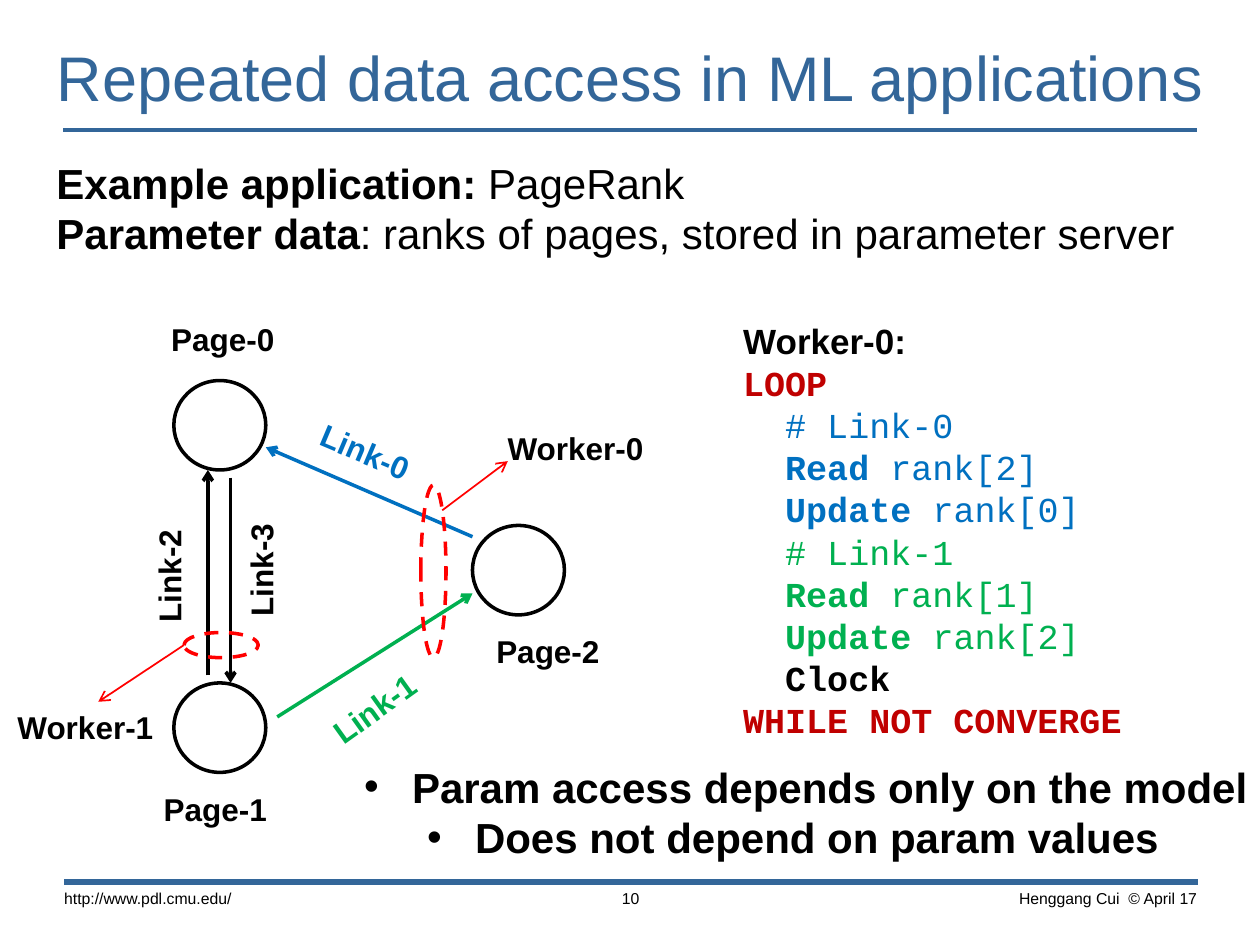
from dataclasses import dataclass

from lxml.etree import SubElement
from pptx import Presentation
from pptx.dml.color import RGBColor
from pptx.enum.dml import MSO_LINE
from pptx.enum.shapes import MSO_CONNECTOR, MSO_SHAPE
from pptx.enum.text import MSO_ANCHOR, MSO_AUTO_SIZE, PP_ALIGN
from pptx.oxml.ns import qn
from pptx.util import Inches, Pt


@dataclass(frozen=True)
class Theme:
    heading: RGBColor = RGBColor(0x33, 0x66, 0x99)
    black: RGBColor = RGBColor(0, 0, 0)
    blue: RGBColor = RGBColor(0x00, 0x70, 0xC0)
    green: RGBColor = RGBColor(0x00, 0xB0, 0x50)
    keyword: RGBColor = RGBColor(0xC0, 0, 0)
    worker: RGBColor = RGBColor(0xFF, 0, 0)
    font: str = "Arial"
    code_font: str = "Courier New"
    title_size: int = 36
    body_size: int = 24
    code_size: int = 20
    label_size: int = 18
    footer_size: int = 9


THEME = Theme()

PAGES = [
    # circle left, top; label, label left, top
    (1.38, 3.02, "Page-0", 1.26, 2.49),
    (1.38, 5.42, "Page-1", 1.2, 6.22),
    (3.75, 4.17, "Page-2", 3.84, 4.97),
]
LINKS = [
    # start, end, colour; label, label left, top, rotation
    ((3.75, 4.26), (2.11, 3.55), THEME.blue, "Link-0", 2.42, 3.45, 22.9),
    ((2.2, 5.69), (3.75, 4.71), THEME.green, "Link-1", 2.47, 5.32, 324.3),
    ((1.65, 5.36), (1.65, 3.73), THEME.black, "Link-2", 0.7, 4.2, 270),
    ((1.83, 3.79), (1.83, 5.42), THEME.black, "Link-3", 1.43, 4.15, 270),
]
WORKERS = [
    # ring box; arrow start, end; label, label left, top
    ((3.34, 3.85, 0.2, 1.37), (3.51, 4.05), (4.03, 3.66), "Worker-0", 3.93, 3.36),
    ((1.46, 5.02, 0.59, 0.2), (1.46, 5.12), (0.78, 5.57), "Worker-1", 0.04, 5.57),
]
CODE = [
    # colour, bold part, regular part
    (THEME.keyword, "LOOP", ""),
    (THEME.blue, "", "  # Link-0"),
    (THEME.blue, "  Read", " rank[2]"),
    (THEME.blue, "  Update", " rank[0]"),
    (THEME.green, "", "  # Link-1"),
    (THEME.green, "  Read", " rank[1]"),
    (THEME.green, "  Update", " rank[2]"),
    (THEME.black, "  Clock", ""),
    (THEME.keyword, "WHILE NOT CONVERGE", ""),
]
SUMMARY = [
    ("Example application: ", "PageRank"),
    ("Parameter data", ": ranks of pages, stored in parameter server"),
]
FOOTERS = [
    ("http://www.pdl.cmu.edu/", 0.4, 2.5, PP_ALIGN.LEFT),
    ("10", 4.03, 1.95, PP_ALIGN.CENTER),
    ("Henggang Cui  © April 17", 7.07, 2.54, PP_ALIGN.RIGHT),
]
CONCLUSIONS = ["Param access depends only on the model", "Does not depend on param values"]


def place(shape, left, top, width, height):
    shape.left, shape.top = Inches(left), Inches(top)
    shape.width, shape.height = Inches(width), Inches(height)


def style(paragraph, size, color=THEME.black, bold=None, name=THEME.font):
    font = paragraph.font
    font.name, font.size, font.bold = name, Pt(size), bold
    font.color.rgb = color


def add_text_frame(slide, left, top, width, height):
    box = slide.shapes.add_textbox(*map(Inches, (left, top, width, height)))
    box.text_frame.word_wrap = True
    return box, box.text_frame


def add_label(slide, text, left, top, width=1.28, color=THEME.black, rotation=0):
    box, frame = add_text_frame(slide, left, top, width, 0.4)
    box.rotation = rotation
    paragraph = frame.paragraphs[0]
    paragraph.text = text
    style(paragraph, THEME.label_size, color, bold=True)


def add_mixed_runs(paragraph, bold_text, regular_text):
    for text, bold in ((bold_text, True), (regular_text, False)):
        if text:
            run = paragraph.add_run()
            run.text = text
            run.font.bold = bold


def add_line(slide, start, end, color, width, arrow=False):
    points = map(Inches, (*start, *end))
    connector = slide.shapes.add_connector(MSO_CONNECTOR.STRAIGHT, *points)
    connector.line.color.rgb = color
    connector.line.width = Pt(width)
    if arrow:
        SubElement(connector.line._get_or_add_ln(), qn("a:tailEnd"), type="arrow")
    SubElement(connector._element.spPr, qn("a:effectLst"))


def add_ellipse(slide, box, color, dash=None):
    ellipse = slide.shapes.add_shape(MSO_SHAPE.OVAL, *map(Inches, box))
    ellipse.shadow.inherit = False
    ellipse.fill.background()
    ellipse.line.color.rgb = color
    ellipse.line.width = Pt(2)
    if dash:
        ellipse.line.dash_style = dash


def add_title(slide):
    title = slide.shapes.title
    place(title, 0, 0.23, 10, 0.75)
    frame = title.text_frame
    frame.text = "Repeated data access in ML applications"
    frame.vertical_anchor = MSO_ANCHOR.MIDDLE
    frame.auto_size = MSO_AUTO_SIZE.NONE
    frame.paragraphs[0].alignment = PP_ALIGN.CENTER
    style(frame.paragraphs[0], THEME.title_size, THEME.heading)


def add_footers(slide):
    for text, left, width, alignment in FOOTERS:
        _, frame = add_text_frame(slide, left, 6.99, width, 0.42)
        frame.margin_left = frame.margin_right = Inches(0.11)
        frame.margin_top = frame.margin_bottom = Inches(0.06)
        paragraph = frame.paragraphs[0]
        paragraph.text = text
        paragraph.alignment = alignment
        style(paragraph, THEME.footer_size)


def add_summary(slide):
    _, frame = add_text_frame(slide, 0.35, 1.2, 9.46, 0.91)
    for index, parts in enumerate(SUMMARY):
        paragraph = frame.add_paragraph() if index else frame.paragraphs[0]
        add_mixed_runs(paragraph, *parts)
        style(paragraph, THEME.body_size)


def add_page_graph(slide):
    for left, top, name, label_left, label_top in PAGES:
        add_ellipse(slide, (left, top, 0.73, 0.71), THEME.black)
        add_label(slide, name, label_left, label_top)
    for start, end, color, name, left, top, rotation in LINKS:
        add_line(slide, start, end, color, 2, arrow=True)
        add_label(slide, name, left, top, color=color, rotation=rotation)
    for ring, start, end, name, left, top in WORKERS:
        add_ellipse(slide, ring, THEME.worker, MSO_LINE.DASH)
        add_line(slide, start, end, THEME.worker, 1, arrow=True)
        add_label(slide, name, left, top, width=1.5)


def add_code(slide):
    _, frame = add_text_frame(slide, 5.8, 2.49, 3.84, 3.47)
    heading = frame.paragraphs[0]
    heading.text = "Worker-0:"
    style(heading, THEME.code_size, bold=True)
    for color, bold_text, regular_text in CODE:
        paragraph = frame.add_paragraph()
        add_mixed_runs(paragraph, bold_text, regular_text)
        style(paragraph, THEME.code_size, color, name=THEME.code_font)


def add_conclusions(slide):
    body = slide.placeholders[1]
    place(body, 2.79, 5.99, 7.91, 0.91)
    frame = body.text_frame
    frame.auto_size = MSO_AUTO_SIZE.NONE
    for level, text in enumerate(CONCLUSIONS):
        paragraph = frame.add_paragraph() if level else frame.paragraphs[0]
        paragraph.text = text
        paragraph.level = level
        paragraph.space_before = Pt(0)
        properties = paragraph._p.get_or_add_pPr()
        properties.set("marL", str(Inches(0.38 + 0.5 * level)))
        properties.set("indent", str(Inches(-0.38)))
        SubElement(properties, qn("a:buFont"), typeface=THEME.font)
        SubElement(properties, qn("a:buChar"), char="•")
        style(paragraph, THEME.body_size, bold=True)


def main():
    presentation = Presentation()
    presentation.slide_width, presentation.slide_height = Inches(10), Inches(7.5)
    slide = presentation.slides.add_slide(presentation.slide_layouts[1])
    add_title(slide)
    add_line(slide, (0.5, 1.03), (9.5, 1.03), THEME.heading, 2)
    add_line(slide, (0.51, 7), (9.51, 7), THEME.heading, 3.5)
    add_footers(slide)
    add_summary(slide)
    add_page_graph(slide)
    add_code(slide)
    add_conclusions(slide)
    presentation.save("out.pptx")


if __name__ == "__main__":
    main()
